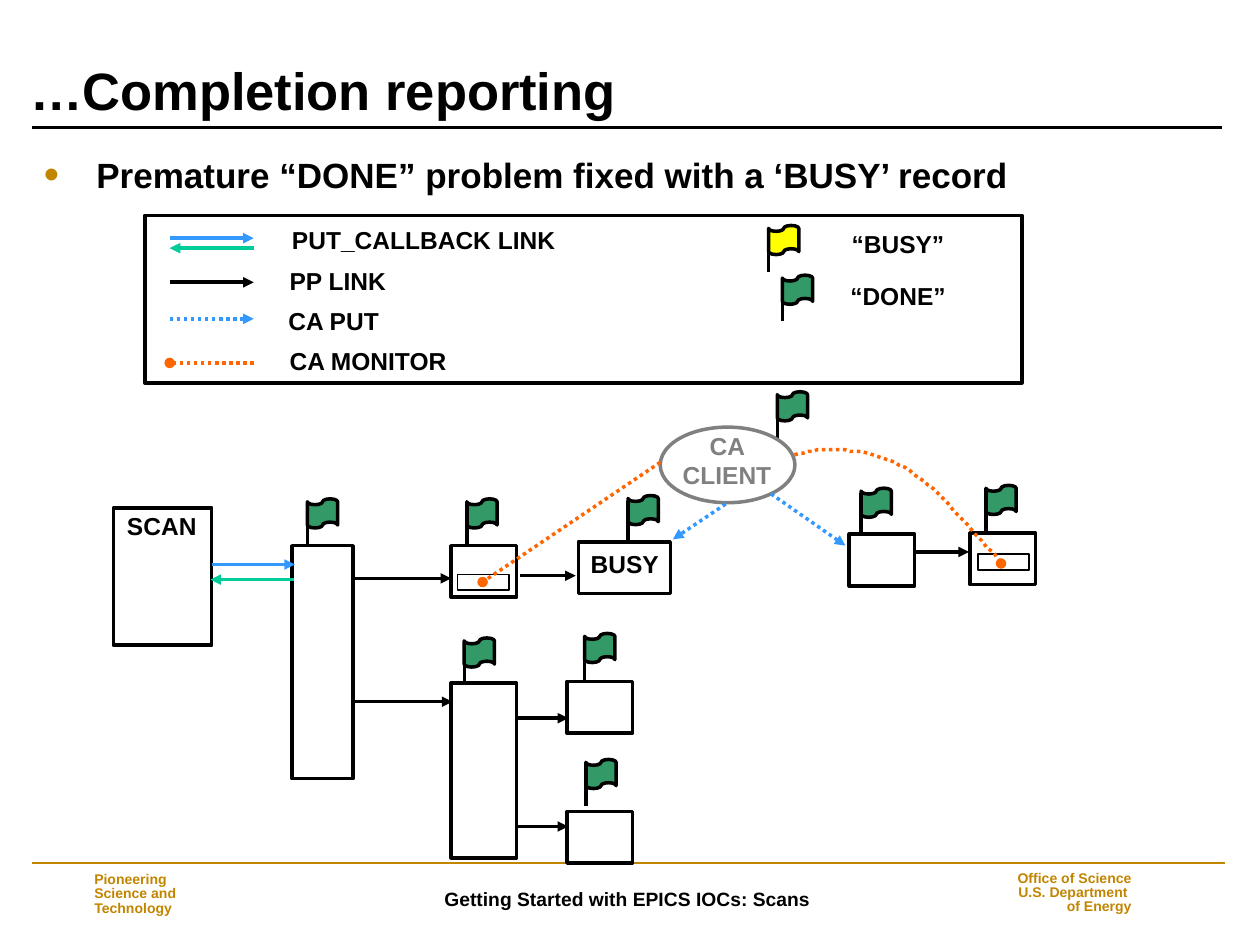
from lxml import etree
from pptx import Presentation
from pptx import util as u
from pptx.dml import color
from pptx.enum import dml, shapes, text
from pptx.oxml import ns

BLACK = color.RGBColor(0x00, 0x00, 0x00)
GRAY = color.RGBColor(0x80, 0x80, 0x80)
GOLD = color.RGBColor(0xC2, 0x85, 0x00)
BLUE = color.RGBColor(0x33, 0x99, 0xFF)
TEAL = color.RGBColor(0x00, 0xCC, 0x99)
ORANGE = color.RGBColor(0xFF, 0x66, 0x00)
YELLOW = color.RGBColor(0xFF, 0xFF, 0x00)
GREEN = color.RGBColor(0x33, 0x99, 0x66)

KIND = shapes.MSO_SHAPE
ALIGN = text.PP_ALIGN
ANCHOR = text.MSO_ANCHOR
RECORD = (37.4, 29.5)
SLOT_WIDTH = 29.5


def add_element(parent, tag, **attributes):
    return etree.SubElement(parent, ns.qn(tag), attributes)


def bezier(start, first, second, end, steps=10):
    for step in range(1, steps + 1):
        t = step / steps
        weights = ((1 - t) ** 3, 3 * t * (1 - t) ** 2, 3 * t * t * (1 - t), t ** 3)
        corners = (start, first, second, end)
        yield tuple(sum(w * corner[axis] for w, corner in zip(weights, corners))
                    for axis in (0, 1))


class Sketch:
    font = {"name": "Arial", "bold": True}

    def __init__(self, page):
        self.page = page

    def outline(self, item, tint, width, dotted=False, end=None):
        item.line.color.rgb = tint
        item.line.width = u.Pt(width)
        if dotted:
            item.line.dash_style = dml.MSO_LINE.ROUND_DOT
        if end:
            add_element(item.line._get_or_add_ln(), "a:tailEnd", type=end)

    def shape(self, left, top, width, height, kind=KIND.RECTANGLE,
              tint=BLACK, weight=2, fill=None):
        item = self.page.shapes.add_shape(kind, *map(u.Pt, (left, top, width, height)))
        item.shadow.inherit = False
        if fill is None:
            item.fill.background()
        else:
            item.fill.solid()
            item.fill.fore_color.rgb = fill
        self.outline(item, tint, weight)

    def line(self, start, stop, tint=BLACK, weight=2, dotted=False, end=None):
        item = self.page.shapes.add_connector(
            shapes.MSO_CONNECTOR.STRAIGHT, *map(u.Pt, (*start, *stop)))
        self.outline(item, tint, weight, dotted, end)
        add_element(item._element.spPr, "a:effectLst")

    def curve(self, start, pieces, tint):
        points = [start]
        for piece in pieces:
            points.extend(bezier(points[-1], *piece))
        builder = self.page.shapes.build_freeform(*start, scale=u.Pt(1))
        builder.add_line_segments(points[1:], close=False)
        item = builder.convert_to_shape()
        item.shadow.inherit = False
        item.fill.background()
        self.outline(item, tint, 2, True, "oval")

    def flag(self, left, top, fill=GREEN):
        self.shape(left, top, 17.3, 16.6, KIND.FLOWCHART_PUNCHED_TAPE, fill=fill)
        self.line((left, top + 3), (left, top + 26.4))

    def label(self, left, top, width, height, words, size=14, tint=BLACK,
              anchor=ANCHOR.TOP, bottom=3.6, inset=3.6, bullet=None, **layout):
        box = self.page.shapes.add_textbox(*map(u.Pt, (left, top, width, height)))
        frame = box.text_frame
        settings = {"word_wrap": True, "vertical_anchor": anchor,
                    "margin_left": u.Pt(7.2), "margin_right": u.Pt(7.2),
                    "margin_top": u.Pt(inset), "margin_bottom": u.Pt(bottom)}
        for name, value in settings.items():
            setattr(frame, name, value)
        for index, sentence in enumerate(words.split("\n")):
            para = frame.add_paragraph() if index else frame.paragraphs[0]
            para.text = sentence
            for name, value in layout.items():
                setattr(para, name, value)
            if bullet:
                self.bullet(para, bullet)
            for span in para.runs:
                for name, value in {**self.font, "size": u.Pt(size)}.items():
                    setattr(span.font, name, value)
                span.font.color.rgb = tint

    def bullet(self, para, tint):
        properties = para._p.get_or_add_pPr()
        indent = u.Pt(30)
        properties.set("marL", str(indent))
        properties.set("indent", str(-indent))
        add_element(add_element(properties, "a:buClr"), "a:srgbClr", val=str(tint))
        add_element(properties, "a:buSzPct", val="125000")
        add_element(properties, "a:buFont", typeface="Arial")
        add_element(properties, "a:buChar", char="•")


def draw_frame(sketch):
    sketch.label(145.4, 496.1, 426.2, 34.6, "Getting Started with EPICS IOCs: Scans",
                 size=11, anchor=ANCHOR.MIDDLE, alignment=ALIGN.CENTER)
    sketch.line((18, 493.2), (699.8, 493.2), GOLD, 1)
    sketch.label(46.8, 495.4, 105.1, 31.7, "Pioneering \vScience and\vTechnology",
                 size=8, tint=GOLD, anchor=ANCHOR.MIDDLE, line_spacing=0.85)
    sketch.label(564.5, 494.6, 89.3, 31.7,
                 "Office of Science\n U.S. Department \nof Energy", size=8, tint=GOLD,
                 anchor=ANCHOR.MIDDLE, line_spacing=0.85, alignment=ALIGN.RIGHT)
    sketch.line((18, 72.7), (698.4, 72.7), weight=1.5)
    sketch.label(10.1, 37.4, 689.8, 36, "…Completion reporting", size=30,
                 anchor=ANCHOR.BOTTOM, inset=0, line_spacing=0.9)
    sketch.label(18, 84.2, 681.1, 31, "Premature “DONE” problem fixed with a ‘BUSY’ record",
                 size=20, bullet=GOLD)


def draw_legend(sketch):
    sketch.shape(82.8, 123.1, 501.1, 95.8)
    for left, top, width, words in (
            (159.8, 125.3, 165.6, "PUT_CALLBACK LINK"), (158.4, 148.3, 71.3, "PP LINK"),
            (157.7, 171.4, 80.6, "CA PUT"), (158.4, 194.4, 106.6, "CA MONITOR"),
            (479.5, 127.4, 75.6, "“BUSY”"), (478.8, 157, 74.2, "“DONE”")):
        sketch.label(left, top, width, 24.5, words)
    left, right = 97, 145
    sketch.line((left, 136.1), (right, 136.1), BLUE, end="triangle")
    sketch.line((right, 141.8), (left, 141.8), TEAL, end="triangle")
    sketch.line((left, 161.3), (right, 161.3), end="triangle")
    sketch.line((left, 182.2), (right, 182.2), BLUE, dotted=True, end="triangle")
    sketch.line((right, 207.4), (left, 207.4), ORANGE, dotted=True, end="oval")
    sketch.flag(439.2, 128.9, YELLOW)
    sketch.flag(447.1, 157.3)


def draw_records(sketch):
    sketch.shape(64.8, 290.2, 56.2, 78.5)
    sketch.label(65.5, 288.7, 57.6, 24.5, "SCAN")
    sketch.shape(167, 311.8, 34.6, 133.2)
    sketch.shape(257.8, 390.2, 37.4, 100.1)
    for left, top in ((257.8, 311.8), (324, 389.5), (324, 463.7),
                      (485.3, 305.3), (554.4, 304.6)):
        sketch.shape(left, top, *RECORD)
    sketch.shape(330.5, 309.6, 52.6, 29.5)
    sketch.label(330.5, 310.3, 56, 24.5, "BUSY")
    for left, top in ((261.4, 328.3), (558.7, 316.8)):
        sketch.shape(left, top, SLOT_WIDTH, 9, weight=1)
    for left, top in ((175.7, 285.1), (266.8, 285.1), (265.3, 364.6), (334.1, 362),
                      (334.8, 434), (358.9, 283.2), (444.2, 223.9), (492.1, 279),
                      (563.4, 277.4)):
        sketch.flag(left, top)
    sketch.shape(377.3, 244.1, 77, 43.2, KIND.OVAL, GRAY)
    sketch.label(380.9, 242.6, 69.1, 41, "CA CLIENT", tint=GRAY, alignment=ALIGN.CENTER)


def draw_links(sketch):
    sketch.line((121, 322.6), (168.5, 322.6), BLUE, end="triangle")
    sketch.line((167.8, 331.2), (120.2, 331.2), TEAL, end="triangle")
    for left, right, level in ((202.3, 257.8, 330.5), (200.9, 258.5, 401),
                               (294.5, 324.7, 410.4), (294.5, 324.7, 472.3),
                               (297.4, 329, 329), (523.4, 553.7, 315.4)):
        sketch.line((left, level), (right, level), end="triangle")
    sketch.line((440.6, 282.2), (483.1, 311.8), BLUE, dotted=True, end="triangle")
    sketch.line((414.7, 288), (384.5, 308.2), BLUE, dotted=True, end="triangle")
    sketch.line((377.3, 264.2), (275.8, 332.6), ORANGE, dotted=True, end="oval")
    sketch.curve((454.3, 259.9), (
        ((462.2, 257.8), (470.9, 256.3), (480.2, 257)),
        ((489.6, 257.8), (501.8, 259.2), (511.2, 264.2)),
        ((521.3, 268.6), (528.5, 275), (538.6, 285.1)),
        ((548.6, 294.5), (566.6, 315.4), (572.4, 321.8))), ORANGE)


def main():
    deck = Presentation()
    deck.slide_width, deck.slide_height = u.Pt(720), u.Pt(540)
    sketch = Sketch(deck.slides.add_slide(deck.slide_layouts[6]))
    for draw in (draw_frame, draw_legend, draw_records, draw_links):
        draw(sketch)
    deck.save("out.pptx")


if __name__ == "__main__":
    main()
